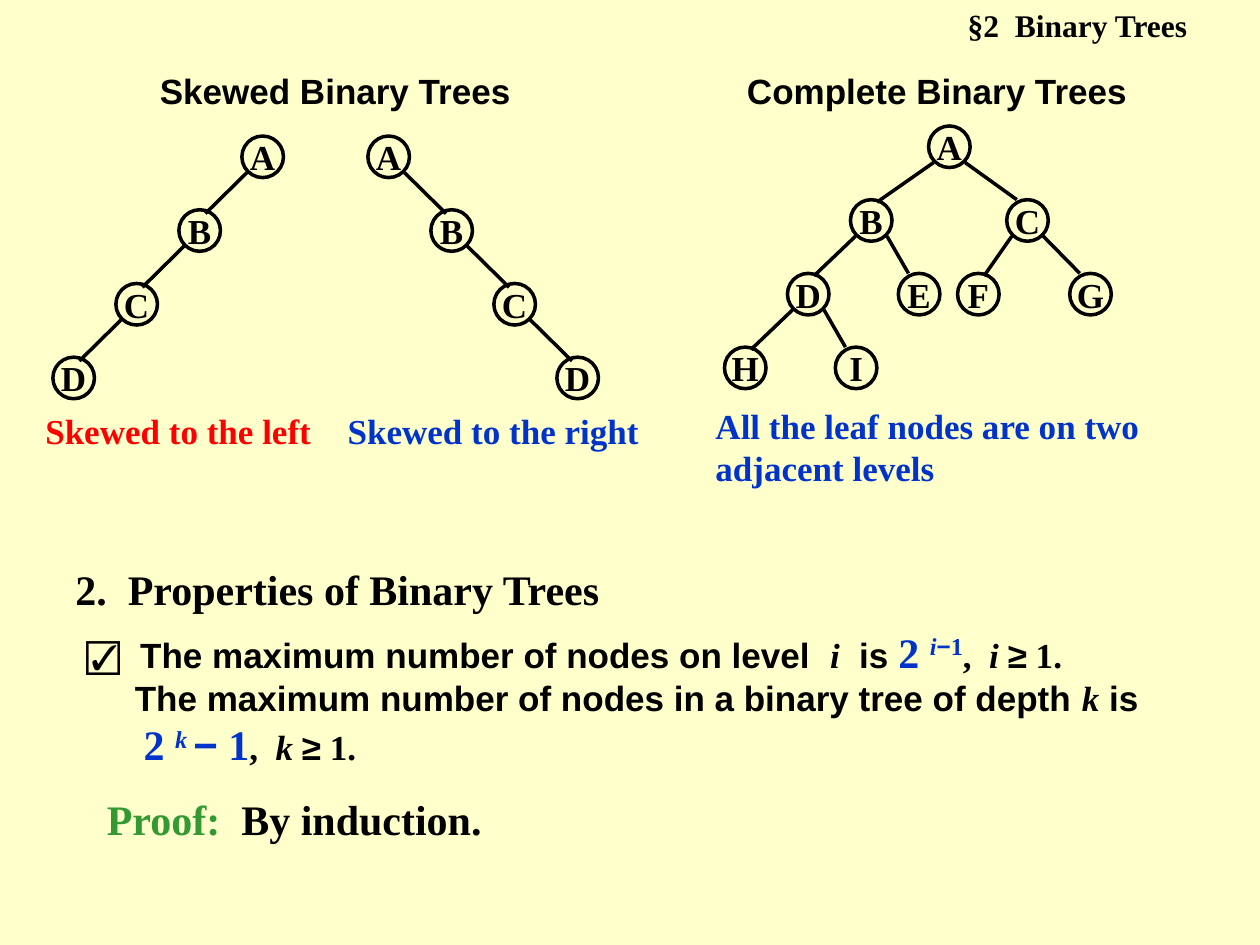
from pptx import Presentation
from pptx.dml.color import RGBColor
from pptx.enum.shapes import MSO_CONNECTOR, MSO_SHAPE
from pptx.enum.text import MSO_ANCHOR, MSO_AUTO_SIZE, PP_ALIGN
from pptx.oxml.ns import qn
from pptx.util import Inches, Pt
from lxml import etree

LINE = MSO_CONNECTOR.STRAIGHT
OVAL = MSO_SHAPE.OVAL
TOP, MIDDLE = MSO_ANCHOR.TOP, MSO_ANCHOR.MIDDLE
LEFT, CENTER = PP_ALIGN.LEFT, PP_ALIGN.CENTER
NO_FIT = MSO_AUTO_SIZE.NONE

CREAM = RGBColor(0xFF, 0xFF, 0xCC)
BLACK = RGBColor(0, 0, 0)
RED = RGBColor(0xFF, 0, 0)
BLUE = RGBColor(0, 0x33, 0xCC)
GREEN = RGBColor(0x33, 0x99, 0x33)
SERIF, SANS = "Times New Roman", "Arial"

NODE = 0.33
ROW = 0.585
LEFT_START, RIGHT_START = (0.04, 0.29), (0.29, 0.29)

TREES = [
    {"top": 1.08, "nodes": {"A": (1.92, 0), "B": (1.42, 1), "C": (0.92, 2), "D": (0.42, 3)},
     "edges": ["AB", "BC", "CD"], "left_end": (0.21, 0.03), "right_end": (0.12, 0.03)},
    {"top": 1.08, "nodes": {"A": (2.92, 0), "B": (3.42, 1), "C": (3.92, 2), "D": (4.42, 3)},
     "edges": ["AB", "BC", "CD"], "left_end": (0.21, 0.03), "right_end": (0.12, 0.03)},
    {"top": 1, "nodes": {"A": (7.37, 0), "B": (6.75, 1), "C": (7.99, 1), "D": (6.25, 2),
                         "E": (7.13, 2), "F": (7.6, 2), "G": (8.49, 2), "H": (5.75, 3),
                         "I": (6.63, 3)},
     "edges": ["AB", "AC", "BD", "BE", "CF", "CG", "DH", "DI"],
     "left_end": (0.21, 0.02), "right_end": (0.08, 0)},
]

TITLE = [[("§2  Binary Trees", {"size": 18})]]
HEADINGS = [
    ((1.17, 0.5, 3.17, 0.44), 12.5, [[("Skewed Binary Trees", {"font": SANS})]]),
    ((5.83, 0.5, 3.42, 0.44), 12.5, [[("Complete Binary Trees", {"font": SANS})]]),
    ((0.5, 4.42, 4.83, 0.5), 15, [[("2.  Properties of Binary Trees", {"size": 24})]]),
    ((0.75, 6.25, 3.83, 0.5), 15, [[("Proof:", {"size": 24, "color": GREEN}),
                                    ("  By induction.", {"size": 24})]]),
]
CAPTIONS = [
    ((0.25, 3.25, 2.33, 0.33), CENTER, [[("Skewed to the left", {"color": RED})]]),
    ((2.75, 3.25, 2.33, 0.33), CENTER, [[("Skewed to the right", {"color": BLUE})]]),
    ((5.58, 3.17, 3.92, 0.75), LEFT, [[("All the leaf nodes are on two", {"color": BLUE})],
                                      [("adjacent levels", {"color": BLUE})]]),
]

PLAIN = {"font": SANS}
VAR = {"italic": True}
FORMULA = {"size": 24, "color": BLUE}
POWER = {**FORMULA, "baseline": 30}
PROPERTIES = [
    [("☑  The maximum number of nodes on level  ", PLAIN), ("i", VAR), ("  is ", PLAIN),
     ("2 ", FORMULA), ("i", {**POWER, **VAR}), ("−", {**POWER, **PLAIN}), ("1", POWER),
     (",  ", {}), ("i ", VAR), ("≥", PLAIN), (" 1.", {})],
    [("The maximum number of nodes in a binary tree of depth ", PLAIN), ("k", VAR),
     (" is", PLAIN)],
    [("2 ", FORMULA), ("k ", {**POWER, **VAR}), ("−", {**FORMULA, **PLAIN}),
     (" 1", FORMULA), (",  ", {}), ("k ", VAR), ("≥", PLAIN), (" 1.", {})],
]
PROPERTY_INDENTS = [0, 0.39, 0.46]


def write(shape, paragraphs, align=LEFT, anchor=TOP, wrap=True, before=0):
    tf = shape.text_frame
    tf.auto_size = NO_FIT
    tf.word_wrap = wrap
    tf.vertical_anchor = anchor
    for i, runs in enumerate(paragraphs):
        p = tf.add_paragraph() if i else tf.paragraphs[0]
        p.alignment = align
        p.space_before = Pt(0 if i else before)
        for text, style in runs:
            r = p.add_run()
            r.text = text
            r.font.name = style.get("font", SERIF)
            r.font.size = Pt(style.get("size", 20))
            r.font.bold = True
            r.font.italic = style.get("italic", False)
            r.font.color.rgb = style.get("color", BLACK)
            if "baseline" in style:
                r.font._element.set("baseline", str(style["baseline"] * 1000))


def place(shape, box):
    shape.left, shape.top, shape.width, shape.height = map(Inches, box)


def add_edge(group, start, end):
    line = group.shapes.add_connector(LINE, *map(Inches, start + end))
    line.line.color.rgb = BLACK
    line.line.width = Pt(2)
    etree.SubElement(line._element.spPr, qn("a:effectLst"))


def add_tree(s, tree):
    group = s.shapes.add_group_shape()
    spots = {name: (x, tree["top"] + level * ROW) for name, (x, level) in tree["nodes"].items()}
    for name, (x, y) in spots.items():
        node = group.shapes.add_shape(OVAL, *map(Inches, (x, y, NODE, NODE)))
        node.shadow.inherit = False
        node.fill.background()
        node.line.color.rgb = BLACK
        node.line.width = Pt(2)
        write(node, [[(name, {})]], CENTER, MIDDLE, wrap=False)
    for parent, child in tree["edges"]:
        (px, py), (cx, cy) = spots[parent], spots[child]
        leftward = cx < px
        sx, sy = LEFT_START if leftward else RIGHT_START
        ex, ey = tree["left_end"] if leftward else tree["right_end"]
        add_edge(group, (px + sx, py + sy), (cx + ex, cy + ey))


def main():
    prs = Presentation()
    prs.slide_width, prs.slide_height = Inches(10), Inches(7.5)
    s = prs.slides.add_slide(prs.slide_layouts[1])
    s.background.fill.solid()
    s.background.fill.fore_color.rgb = CREAM

    title, body = s.placeholders
    place(title, (7.58, 0, 2.41, 0.4))
    write(title, TITLE, before=11.2)
    place(body, (0.58, 4.92, 8.83, 1.24))
    write(body, PROPERTIES, before=12.5)
    for p, indent in zip(body.text_frame.paragraphs, PROPERTY_INDENTS):
        pPr = p._p.get_or_add_pPr()
        pPr.set("marL", str(Inches(indent)))
        pPr.set("indent", "0")
        etree.SubElement(pPr, qn("a:buNone"))

    for box, before, paragraphs in HEADINGS:
        write(s.shapes.add_textbox(*map(Inches, box)), paragraphs, before=before)
    for tree in TREES:
        add_tree(s, tree)
    for box, align, paragraphs in CAPTIONS:
        write(s.shapes.add_textbox(*map(Inches, box)), paragraphs, align, MIDDLE, wrap=False)

    prs.save("out.pptx")


if __name__ == "__main__":
    main()
